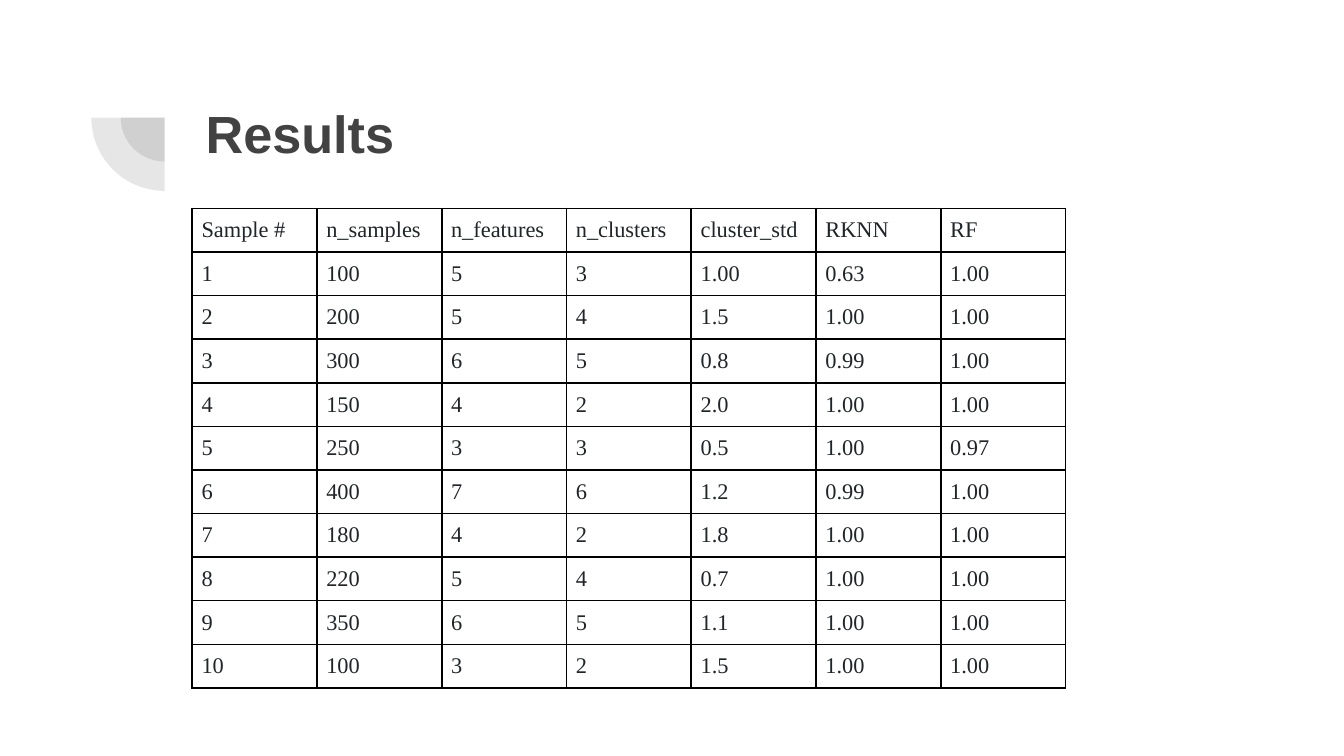
from lxml import etree
from pptx import Presentation
from pptx import util as u
from pptx.dml.color import RGBColor
from pptx.enum import shapes, text
from pptx.oxml.ns import qn

COLORS = {"title": "424242", "cell": "212529", "border": "000000"}
PAD = u.Inches(0.07)
ROWS = [
    ("Sample #", "n_samples", "n_features", "n_clusters", "cluster_std", "RKNN", "RF"),
    ("1", "100", "5", "3", "1.00", "0.63", "1.00"),
    ("2", "200", "5", "4", "1.5", "1.00", "1.00"),
    ("3", "300", "6", "5", "0.8", "0.99", "1.00"),
    ("4", "150", "4", "2", "2.0", "1.00", "1.00"),
    ("5", "250", "3", "3", "0.5", "1.00", "0.97"),
    ("6", "400", "7", "6", "1.2", "0.99", "1.00"),
    ("7", "180", "4", "2", "1.8", "1.00", "1.00"),
    ("8", "220", "5", "4", "0.7", "1.00", "1.00"),
    ("9", "350", "6", "5", "1.1", "1.00", "1.00"),
    ("10", "100", "3", "2", "1.5", "1.00", "1.00"),
]


def rgb(name):
    return RGBColor.from_string(COLORS[name])


def set_font(p, name, size, color, bold=False):
    p.font.name = name
    p.font.size = u.Pt(size)
    p.font.bold = bold
    p.font.color.rgb = rgb(color)


def add_corner_mark(s, left, top, size):
    group = s.shapes.add_group_shape()
    for scale in (0.6, 1):
        side = int(size * scale)
        inset = (size - side) // 2
        sp = group.shapes.add_shape(
            shapes.MSO_SHAPE.PIE, left + inset, top + inset, side, side)
        sp.adjustments[0] = 108
        sp.adjustments[1] = 162
        sp.rotation = 270
        sp.shadow.inherit = False
        sp.line.fill.background()
        sp.fill.solid()
        sp.fill.fore_color.rgb = rgb("title")
        color = sp.fill._xPr.find(qn("a:solidFill"))[0]
        etree.SubElement(color, qn("a:alpha"), val="13000")


def add_title(s, left, top, width, height):
    sp = s.shapes.title
    sp.left, sp.top, sp.width, sp.height = left, top, width, height
    tf = sp.text_frame
    tf.text = "Results"
    tf.word_wrap = True
    tf.auto_size = text.MSO_AUTO_SIZE.NONE
    tf.vertical_anchor = text.MSO_ANCHOR.TOP
    tf.margin_left = tf.margin_right = u.Inches(0.1)
    tf.margin_top = tf.margin_bottom = u.Inches(0.1)
    p = tf.paragraphs[0]
    p.alignment = text.PP_ALIGN.LEFT
    set_font(p, "Arial", 28, "title", bold=True)


def add_borders(cell):
    tcPr = cell._tc.get_or_add_tcPr()
    for side in ("lnL", "lnR", "lnT", "lnB"):
        ln = etree.SubElement(tcPr, qn(f"a:{side}"), w=str(u.Pt(1)))
        fill = etree.SubElement(ln, qn("a:solidFill"))
        etree.SubElement(fill, qn("a:srgbClr"), val=COLORS["border"])


def add_results_table(s, left, top, width, height):
    table = s.shapes.add_table(
        len(ROWS), len(ROWS[0]), left, top, width, height).table
    table.first_row = False
    table.horz_banding = False
    for r, values in enumerate(ROWS):
        for c, value in enumerate(values):
            cell = table.cell(r, c)
            cell.margin_left = cell.margin_right = PAD
            cell.margin_top = cell.margin_bottom = u.Inches(0.06)
            add_borders(cell)
            cell.fill.background()
            cell.text = value
            cell.vertical_anchor = text.MSO_ANCHOR.MIDDLE
            set_font(cell.text_frame.paragraphs[0], "Times New Roman", 12, "cell")


def main():
    prs = Presentation()
    prs.slide_width = u.Inches(10)
    prs.slide_height = prs.slide_width * 9 // 16
    s = prs.slides.add_slide(prs.slide_layouts[5])
    add_corner_mark(s, u.Inches(0.68), u.Inches(0.33), u.Inches(1.09))
    add_title(s, u.Inches(1.43), u.Inches(0.65), u.Inches(7.69), u.Inches(1.09))
    add_results_table(s, u.Inches(1.43), u.Inches(1.55),
                      u.Inches(6.5), u.Inches(3.57))
    prs.save("out.pptx")


if __name__ == "__main__":
    main()
